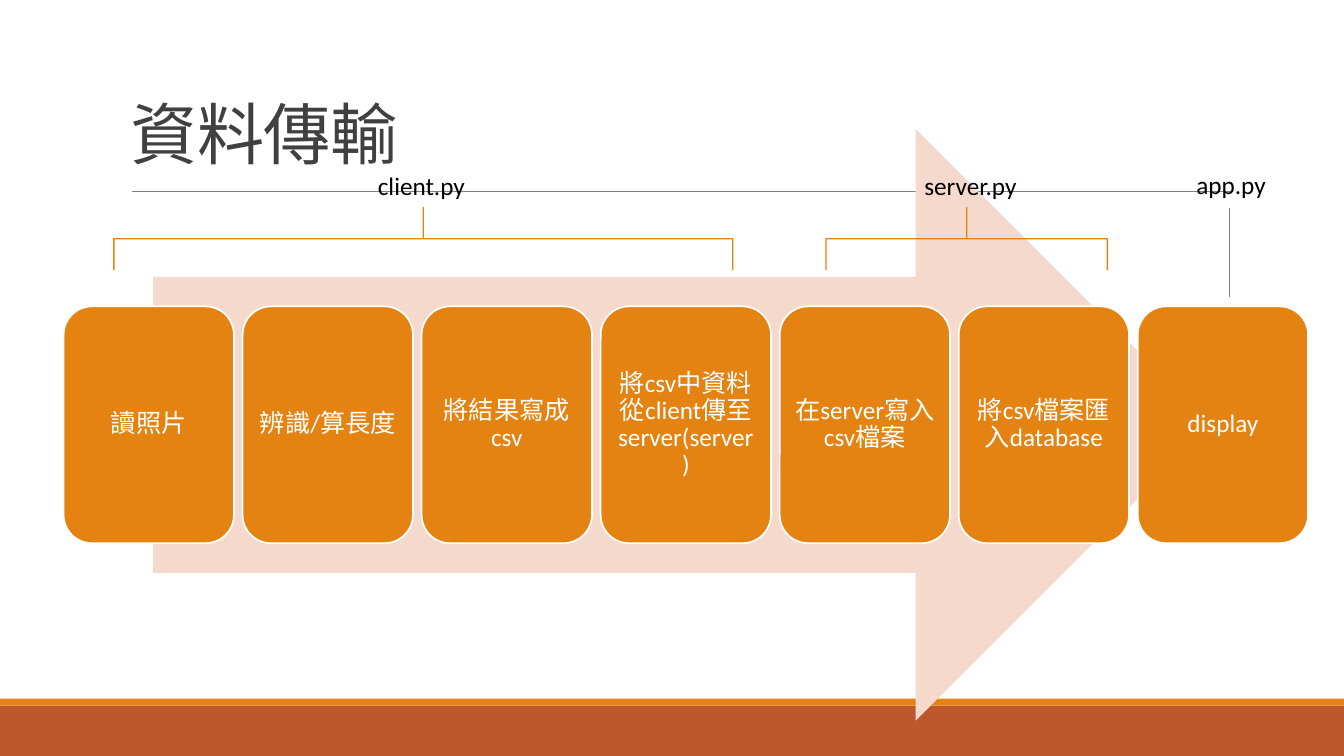
from lxml.etree import SubElement
from pptx import Presentation
from pptx.dml.color import RGBColor
from pptx.enum.shapes import MSO_CONNECTOR, MSO_SHAPE
from pptx.enum.text import MSO_ANCHOR, PP_ALIGN
from pptx.oxml.ns import qn
from pptx.util import Inches, Pt

ORANGE = RGBColor(0xE4, 0x83, 0x12)
RUST = RGBColor(0xBD, 0x58, 0x2C)
PEACH = RGBColor(0xF5, 0xD9, 0xCC)
WHITE = RGBColor(0xFF, 0xFF, 0xFF)
BLACK = RGBColor(0, 0, 0)
CHARCOAL = RGBColor(0x40, 0x40, 0x40)
GRAY = RGBColor(0x80, 0x80, 0x80)

STEPS = ["讀照片", "辨識/算長度", "將結果寫成csv",
         "將csv中資料從client傳至server(server)",
         "在server寫入csv檔案", "將csv檔案匯入database", "display"]
STEP_LEFT, STEP_PITCH, STEP_WIDTH = 4.73, 13.32, 12.68
BRACES = [(8.47, 46.05), (61.46, 20.93)]
PROGRAMS = [("client.py", 27.38, 21.87, 8.33),
            ("server.py", 68.03, 21.87, 9.23),
            ("app.py", 88.28, 21.73, 8.33)]


class FlowSlide:
    """Draws styled elements on one slide, placed in percent of its size."""

    font = "Calibri"

    def __init__(self, deck):
        self.width, self.height = deck.slide_width, deck.slide_height
        self.shapes = deck.slides.add_slide(deck.slide_layouts[6]).shapes

    def across(self, share):
        return round(self.width * share / 100)

    def down(self, share):
        return round(self.height * share / 100)

    def box(self, left, top, width, height):
        return (self.across(left), self.down(top),
                self.across(width), self.down(height))

    def block(self, kind, place, fill):
        block = self.shapes.add_shape(kind, *self.box(*place))
        block.shadow.inherit = False
        block.fill.solid()
        block.fill.fore_color.rgb = fill
        block.line.fill.background()
        return block

    def set_text(self, frame, text, size, color, align=PP_ALIGN.LEFT, spacing=1.0):
        frame.word_wrap = True
        frame.text = text
        paragraph = frame.paragraphs[0]
        paragraph.alignment = align
        paragraph.line_spacing = spacing
        run = paragraph.runs[0]
        run.font.name = self.font
        run.font.size = Pt(size)
        run.font.color.rgb = color
        return run

    def step(self, left, text):
        card = self.block(MSO_SHAPE.ROUNDED_RECTANGLE,
                          (left, 40.53, STEP_WIDTH, 31.33), ORANGE)
        card.line.color.rgb = WHITE
        card.line.width = Pt(1.25)
        frame = card.text_frame
        frame.vertical_anchor = MSO_ANCHOR.MIDDLE
        frame.margin_left = frame.margin_right = Inches(0.07)
        frame.margin_top = frame.margin_bottom = Inches(0.07)
        self.set_text(frame, text, 18, WHITE, PP_ALIGN.CENTER, 0.9)

    def label(self, place, text):
        frame = self.shapes.add_textbox(*self.box(*place)).text_frame
        self.set_text(frame, text, 18, BLACK)

    def title(self, place, text):
        frame = self.shapes.add_textbox(*self.box(*place)).text_frame
        frame.vertical_anchor = MSO_ANCHOR.BOTTOM
        run = self.set_text(frame, text, 48, CHARCOAL, spacing=0.85)
        run._r.get_or_add_rPr().set("spc", "-50")

    def brace(self, left, span):
        x, y, length, depth = self.box(left, 27.45, span, 8.27)
        brace = self.shapes.add_shape(
            MSO_SHAPE.LEFT_BRACE, x + (length - depth) // 2,
            y + (depth - length) // 2, depth, length)
        brace.rotation = 90
        brace.adjustments[0], brace.adjustments[1] = 0, 0.5
        brace.shadow.inherit = False
        brace.fill.background()
        brace.line.color.rgb = ORANGE
        brace.line.width = Pt(1)

    def rule(self, x1, y1, x2, y2):
        rule = self.shapes.add_connector(
            MSO_CONNECTOR.STRAIGHT, self.across(x1), self.down(y1),
            self.across(x2), self.down(y2))
        rule.line.color.rgb = GRAY
        rule.line.width = Pt(0.5)
        SubElement(rule._element.spPr, qn("a:effectLst"))


def main():
    deck = Presentation()
    deck.slide_width, deck.slide_height = Inches(13.33), Inches(7.5)
    slide = FlowSlide(deck)
    slide.block(MSO_SHAPE.RECTANGLE, (0, 93.33, 100, 6.67), RUST)
    slide.block(MSO_SHAPE.RECTANGLE, (0, 92.4, 100, 0.93), ORANGE)
    slide.rule(9.83, 25.33, 91.58, 25.33)
    slide.block(MSO_SHAPE.RIGHT_ARROW, (11.4, 17.07, 78.75, 78.27), PEACH)
    for index, text in enumerate(STEPS):
        slide.step(STEP_LEFT + index * STEP_PITCH, text)
    slide.title((9, 2.4, 82.5, 21.2), "資料傳輸")
    for left, span in BRACES:
        slide.brace(left, span)
    slide.rule(91.5, 27.47, 91.5, 39.33)
    for name, left, top, width in PROGRAMS:
        slide.label((left, top, width, 5.4), name)
    deck.save("out.pptx")


if __name__ == "__main__":
    main()
